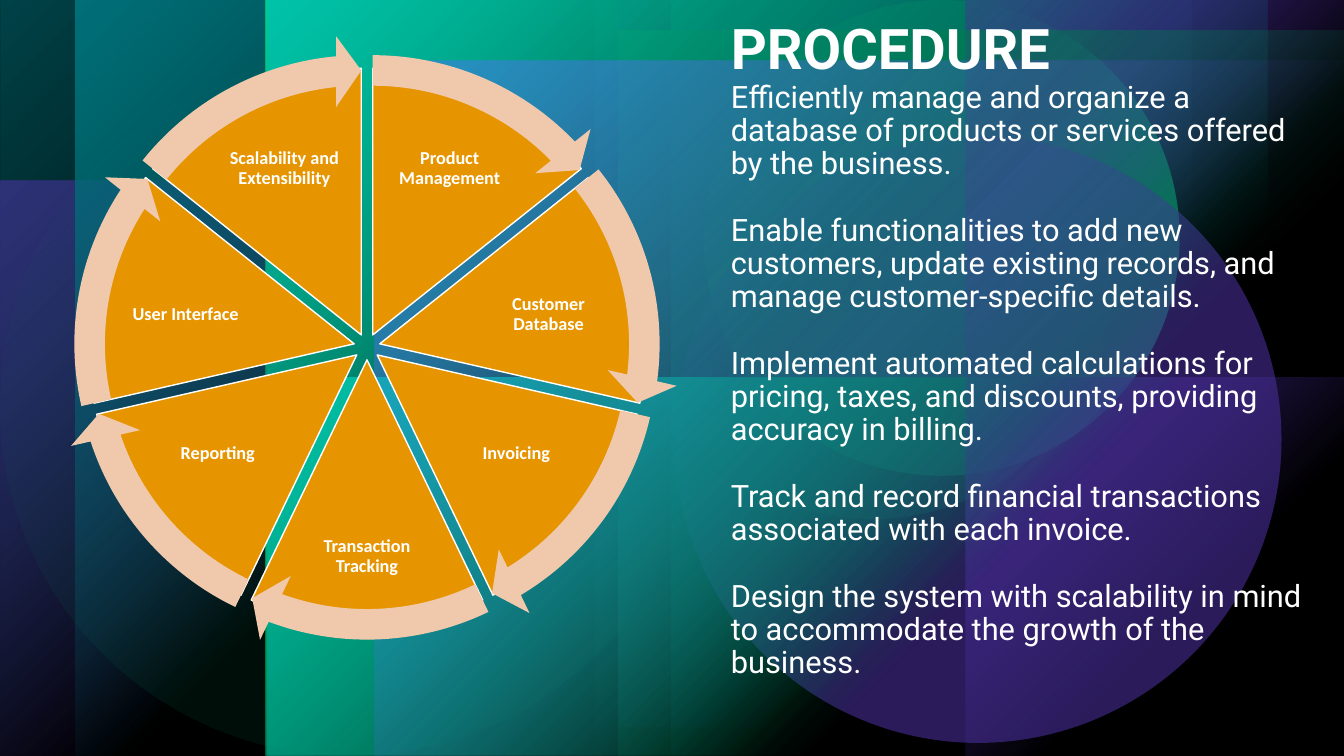
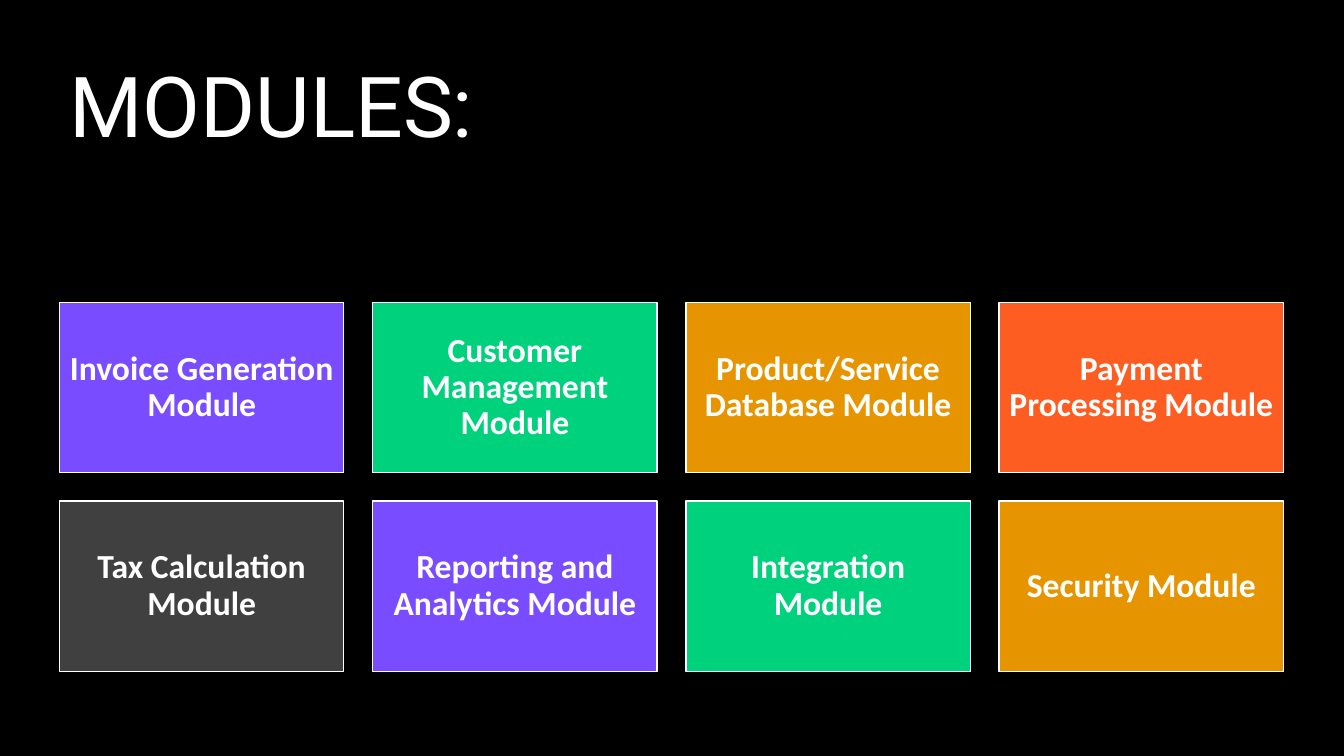
from dataclasses import dataclass
from math import cos, radians, sin

from lxml.etree import SubElement
from pptx import Presentation
from pptx.dml.color import RGBColor
from pptx.enum.shapes import MSO_SHAPE
from pptx.enum.text import MSO_ANCHOR, PP_ALIGN
from pptx.oxml.ns import qn
from pptx.util import Inches, Pt


@dataclass(frozen=True)
class Theme:
    black: str = "000000"
    white: str = "FFFFFF"
    violet: str = "794DFF"
    green: str = "00D17D"
    cyan: str = "00BAC8"
    amber: str = "E69500"
    orange: str = "FE5D21"
    grey: str = "404040"
    peach: str = "F0C8AB"
    title_font: str = "Roboto"
    label_font: str = "Calibri"
    heading_size: float = 40
    title_size: float = 60
    body_size: float = 22
    body_gap: float = 23.8
    wedge_size: float = 13
    module_size: float = 24
    line_spacing: float = 0.9
    outline: float = 1


@dataclass(frozen=True)
class Glow:
    box: tuple
    stops: tuple
    rotation: int = 0
    flip: str = ""
    geometry: MSO_SHAPE = MSO_SHAPE.RECTANGLE


THEME = Theme()
WIDTH, HEIGHT = 13.33, 7.5
FULL_PAGE = (0, 0, WIDTH, HEIGHT)


def fade(color, alpha=100, end=60):
    return ((0, color, alpha), (end, color, 0))


def flat(color, alpha):
    return ((0, color, alpha),)


def disc(left, top, size, color, alpha):
    return Glow((left, top, size, size), flat(color, alpha), geometry=MSO_SHAPE.OVAL)


def mirrored_halves(left, width, stops):
    half = HEIGHT / 2
    return [Glow((left, 0, width, half), stops, 180),
            Glow((left, half, width, half), stops, 180, "v")]


VEIL = Glow(FULL_PAGE, flat(THEME.black, 40))
SHADE = ((0, THEME.black, 80), (32, THEME.black, 60), (63, THEME.black, 0))

BASE_GLOWS = [
    Glow((0, 1.8, 5.71, 5.71), fade(THEME.violet, 60), flip="v"),
    disc(6.29, 0.43, 4.72, THEME.green, 60),
    disc(0, 0.56, 6.94, THEME.green, 20),
    Glow((0, 0, 5.91, 7.5), fade(THEME.cyan), 180, "v"),
    Glow((5.91, 0, 5.91, 7.5), fade(THEME.cyan), 180, "hv"),
    Glow((6.13, 0, 7.21, 7.21), fade(THEME.violet), 180, "v"),
    VEIL,
]
MIDDLE_GLOWS = [
    Glow((0, 1.79, 5.71, 5.71), fade(THEME.violet, 60), 270),
    disc(6.98, 0, 4.72, THEME.green, 96),
    disc(6.69, 1.35, 6.02, THEME.violet, 60),
    Glow((6.66, 0, 5.91, 7.5), fade(THEME.cyan)),
    Glow((0.75, 0, 5.91, 7.5), fade(THEME.cyan), flip="h"),
    Glow((9.58, 3.75, 3.75, 3.75), fade(THEME.violet), 90),
    Glow((9.58, 0, 3.75, 3.75), fade(THEME.violet), 90, "h"),
    Glow((6.13, 0.3, 7.21, 7.21), fade(THEME.green), 180),
    VEIL,
]
FRONT_GLOWS = [
    *mirrored_halves(2.65, 10.68, SHADE),
    *mirrored_halves(2.63, 10.7, fade(THEME.green, end=63)),
    Glow((5.07, -0.76, 6.9, 9.62), fade(THEME.violet, 60), 270, "v"),
    *mirrored_halves(2.65, 10.68, fade(THEME.cyan, 60)),
]

PROCEDURE_STEPS = [
    "Efficiently manage and organize a database of products or services offered by the business.",
    "Enable functionalities to add new customers, update existing records, and manage customer-specific details.",
    "Implement automated calculations for pricing, taxes, and discounts, providing accuracy in billing.",
    "Track and record financial transactions associated with each invoice.",
    "Design the system with scalability in mind to accommodate the growth of the business.",
]

WEDGES = [
    ("Product Management", 0.82, -1.77, 1.26),
    ("Customer Database", 1.8, -0.32, 1.45),
    ("Invoicing", 1.48, 1.06, 1.26),
    ("Transaction Tracking", 0, 2.08, 1.23),
    ("Reporting", -1.48, 1.06, 1.26),
    ("User Interface", -1.8, -0.32, 1.45),
    ("Scalability and Extensibility", -0.82, -1.77, 1.26),
]

MODULES = [
    ("Invoice Generation Module", THEME.violet),
    ("Customer Management Module", THEME.green),
    ("Product/Service Database Module", THEME.amber),
    ("Payment Processing Module", THEME.orange),
    ("Tax Calculation Module", THEME.grey),
    ("Reporting and Analytics Module", THEME.violet),
    ("Integration Module", THEME.green),
    ("Security Module", THEME.amber),
]


def inches(box):
    return [Inches(length) for length in box]


def add_page(deck):
    page = deck.slides.add_slide(deck.slide_layouts[6])
    page.background.fill.solid()
    page.background.fill.fore_color.rgb = RGBColor.from_string(THEME.black)
    return page


def add_plain_shape(page, geometry, box, color=None, outline=None):
    shape = page.shapes.add_shape(geometry, *inches(box))
    shape.shadow.inherit = False
    if color:
        shape.fill.solid()
        shape.fill.fore_color.rgb = RGBColor.from_string(color)
    else:
        shape.fill.background()
    if outline:
        shape.line.color.rgb = RGBColor.from_string(outline)
        shape.line.width = Pt(THEME.outline)
    else:
        shape.line.fill.background()
    return shape


def add_color(parent, color, alpha):
    node = SubElement(parent, qn("a:srgbClr"), val=color)
    SubElement(node, qn("a:alpha"), val=str(alpha * 1000))


def add_glow(page, glow):
    shape = add_plain_shape(page, glow.geometry, glow.box)
    shape.rotation = glow.rotation
    properties = shape._element.spPr
    frame = properties.find(qn("a:xfrm"))
    for axis in glow.flip:
        frame.set("flip" + axis.upper(), "1")
    empty = properties.find(qn("a:noFill"))
    if len(glow.stops) == 1:
        fill = SubElement(properties, qn("a:solidFill"))
        add_color(fill, *glow.stops[0][1:])
    else:
        fill = SubElement(properties, qn("a:gradFill"), rotWithShape="1")
        stops = SubElement(fill, qn("a:gsLst"))
        for position, color, alpha in glow.stops:
            stop = SubElement(stops, qn("a:gs"), pos=str(position * 1000))
            add_color(stop, color, alpha)
        circle = SubElement(fill, qn("a:path"), path="circle")
        SubElement(circle, qn("a:fillToRect"), r="100000", b="100000")
    properties.replace(empty, fill)


def style_para(para, font, size, bold=False):
    para.line_spacing = THEME.line_spacing
    para.font.name = font
    para.font.size = Pt(size)
    para.font.bold = bold
    para.font.color.rgb = RGBColor.from_string(THEME.white)


def fill_label(shape, text, size, inset):
    frame = shape.text_frame
    frame.word_wrap = True
    frame.vertical_anchor = MSO_ANCHOR.MIDDLE
    frame.margin_left = frame.margin_right = Inches(inset)
    frame.margin_top = frame.margin_bottom = Inches(inset)
    para = frame.paragraphs[0]
    para.text = text
    para.alignment = PP_ALIGN.CENTER
    style_para(para, THEME.label_font, size, True)


def add_title_text(page, box, title, size, bold=False, steps=(), anchor=MSO_ANCHOR.TOP):
    frame = page.shapes.add_textbox(*inches(box)).text_frame
    frame.word_wrap = True
    frame.vertical_anchor = anchor
    heading = frame.paragraphs[0]
    heading.text = title
    style_para(heading, THEME.title_font, size, bold)
    for index, step in enumerate(steps):
        para = frame.add_paragraph()
        para.text = step
        style_para(para, THEME.title_font, THEME.body_size)
        para.space_before = Pt(THEME.body_gap if index else 0)


def add_centred(page, geometry, center, diameter, adjustments, color, outline=None):
    corner = [middle - diameter / 2 for middle in center]
    shape = add_plain_shape(page, geometry, (*corner, diameter, diameter), color, outline)
    for index, value in enumerate(adjustments):
        shape.adjustments[index] = value


def add_cycle(page, box):
    left, top, size = box
    middle_x, middle_y = left + size / 2, top + size / 2
    pie_size, ring_size, spread, label_height = 5.29, 5.95, 0.13, 0.98
    turn, quarter, head = 216, 162, 3.275
    step = turn / len(WEDGES)
    rings = []
    for index, (text, across, down, width) in enumerate(WEDGES):
        start = (quarter + index * step) % turn
        end = (start + step) % turn
        angle = radians((start + step / 2) * 360 / turn)
        center = (middle_x + spread * cos(angle), middle_y + spread * sin(angle))
        add_centred(page, MSO_SHAPE.PIE, center, pie_size, (start, end),
                    THEME.amber, THEME.white)
        label_box = (middle_x + across - width / 2, middle_y + down - label_height / 2,
                     width, label_height)
        label = page.shapes.add_textbox(*inches(label_box))
        fill_label(label, text, THEME.wedge_size, 0.02)
        rings.append((center, (0.051, head, end - head, start, 0.059)))
    for center, adjustments in rings:
        add_centred(page, MSO_SHAPE.CIRCULAR_ARROW, center, ring_size, adjustments, THEME.peach)


def add_module_grid(page, box, columns=4, rows=2):
    left, top, width, height = box
    cell_width, cell_height = 2.82, 1.69
    pitch_x = (width - cell_width) / (columns - 1)
    pitch_y = (height - cell_height) / (rows - 1)
    for index, (text, color) in enumerate(MODULES):
        row, column = divmod(index, columns)
        cell = (left + column * pitch_x, top + row * pitch_y, cell_width, cell_height)
        card = add_plain_shape(page, MSO_SHAPE.RECTANGLE, cell, color, THEME.white)
        fill_label(card, text, THEME.module_size, 0.1)


def build_procedure(deck):
    page = add_page(deck)
    for glow in BASE_GLOWS + MIDDLE_GLOWS + FRONT_GLOWS:
        add_glow(page, glow)
    add_title_text(page, (7.15, 0.3, 5.89, 6.5), "PROCEDURE", THEME.heading_size, True,
                   PROCEDURE_STEPS, MSO_ANCHOR.BOTTOM)
    add_cycle(page, (0.64, 0.44, 6))


def build_modules(deck):
    page = add_page(deck)
    add_title_text(page, (0.59, 0.59, 12.14, 1.98), "MODULES:", THEME.title_size)
    add_module_grid(page, (0.59, 3, 12.14, 3.66))


def main():
    deck = Presentation()
    deck.slide_width, deck.slide_height = Inches(WIDTH), Inches(HEIGHT)
    build_procedure(deck)
    build_modules(deck)
    deck.save("out.pptx")


if __name__ == "__main__":
    main()
